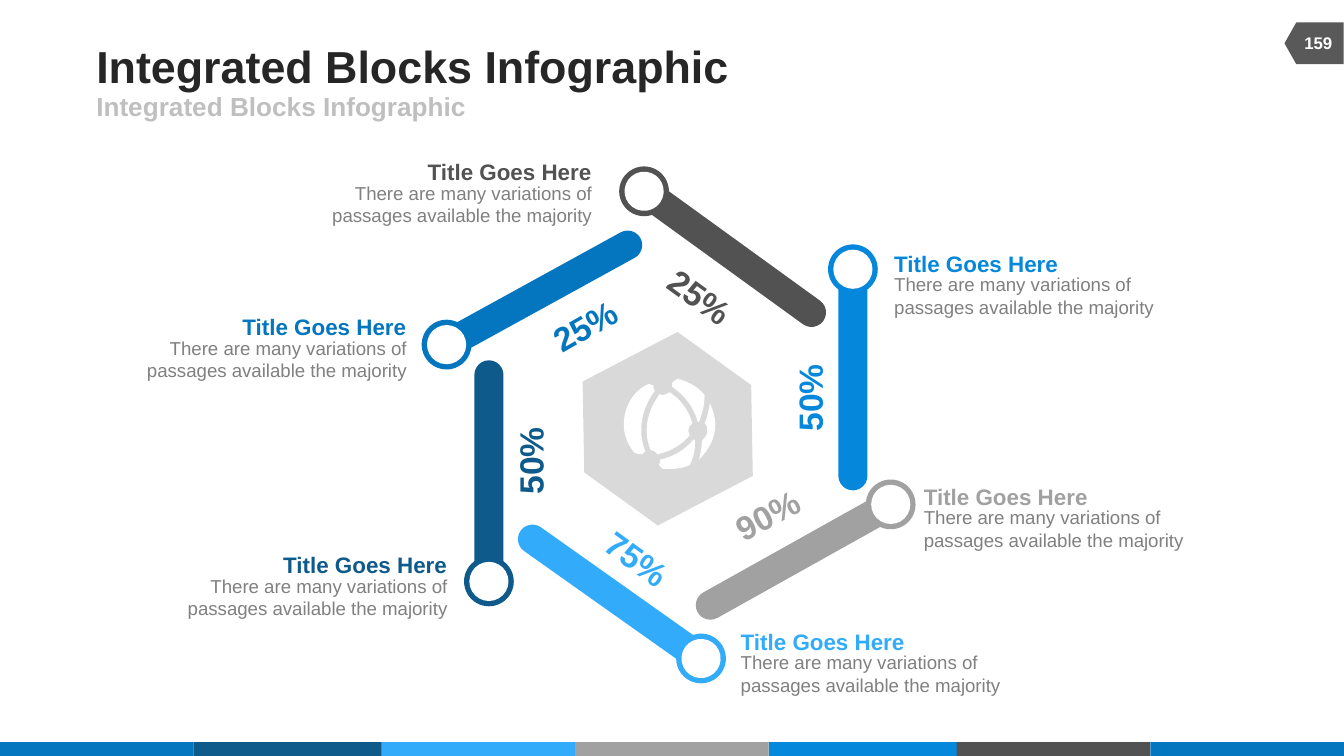
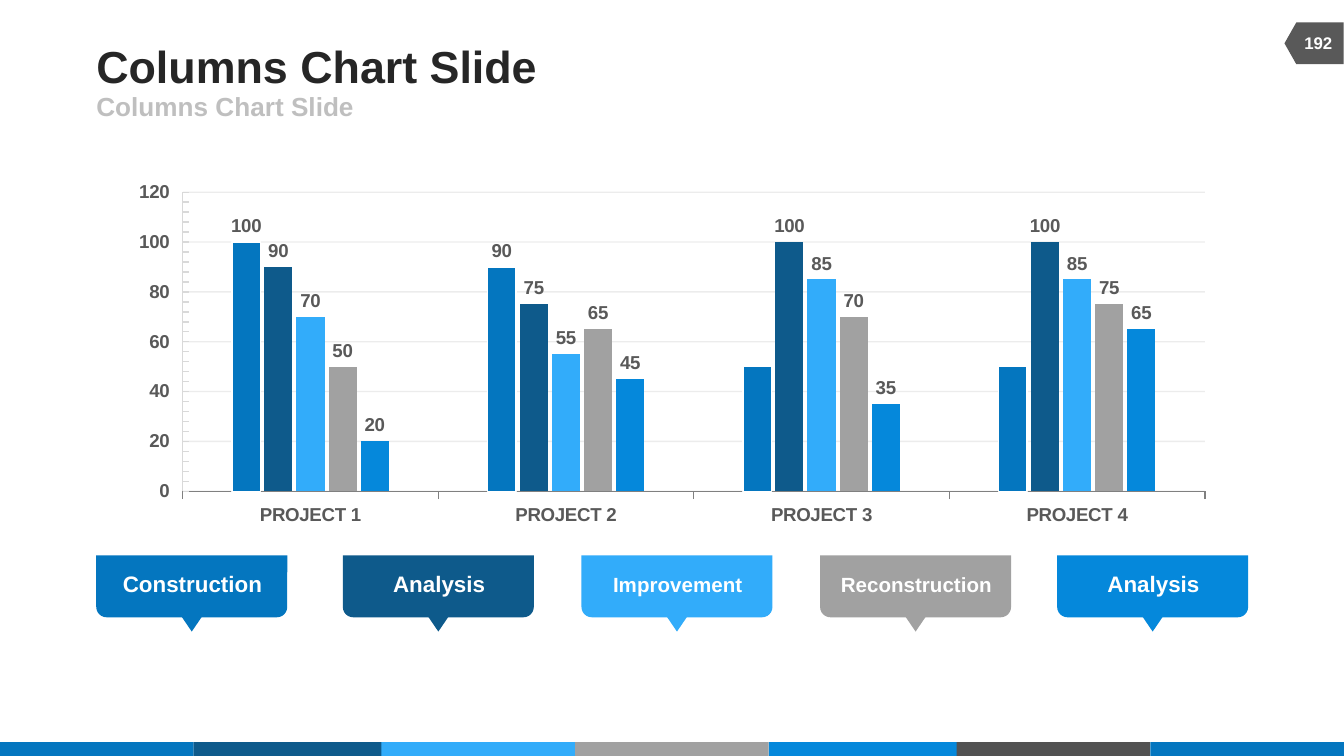
import math
from dataclasses import dataclass

import lxml.etree
import pptx
import pptx.chart.data
import pptx.dml.color
import pptx.enum.chart
import pptx.enum.shapes
import pptx.enum.text
import pptx.oxml.ns
import pptx.shapes.autoshape
import pptx.shapes.shapetree
import pptx.slide
import pptx.text.text
import pptx.util

Cm = pptx.util.Cm
Pt = pptx.util.Pt
qn = pptx.oxml.ns.qn
SHAPE = pptx.enum.shapes.MSO_SHAPE
ALIGN = pptx.enum.text.PP_ALIGN
ANCHOR = pptx.enum.text.MSO_ANCHOR
FIT = pptx.enum.text.MSO_AUTO_SIZE
Shapes = pptx.shapes.shapetree.SlideShapes | pptx.shapes.shapetree.GroupShapes

FONT = "Arial"
COLORS = {
    "blue": "0476BF",
    "navy": "0E5A8B",
    "sky": "32ACFA",
    "grey": "A1A1A1",
    "azure": "0588DB",
    "dark": "525252",
    "badge": "595959",
    "title": "262626",
    "subtitle": "BFBFBF",
    "body": "808080",
    "light": "D9D9D9",
    "white": "FFFFFF",
}


@dataclass(frozen=True)
class Box:
    """Left, top, width and height in centimetres."""
    left: float
    top: float
    width: float
    height: float

    @classmethod
    def centred(cls, x: float, y: float, width: float, height: float) -> "Box":
        return cls(x - width / 2, y - height / 2, width, height)

    def lengths(self) -> tuple:
        return Cm(self.left), Cm(self.top), Cm(self.width), Cm(self.height)


@dataclass(frozen=True)
class TextStyle:
    size: float
    color: str
    bold: bool = True
    align: int = ALIGN.LEFT
    anchor: int = ANCHOR.TOP
    wrap: bool = False
    fit: int = FIT.SHAPE_TO_FIT_TEXT


@dataclass(frozen=True)
class Spoke:
    """A bar with a ring at its end, a percentage and a caption."""
    color: str
    x: float
    y: float
    angle: float
    percent: str
    percent_x: float
    percent_y: float
    percent_angle: float
    caption_edge: float
    caption_top: float
    caption_align: int


@dataclass(frozen=True)
class Tag:
    color: str
    left: float
    label: str
    label_width: float
    size: float


# Shared parts
BAND_WIDTH = 3.66
BANDS = (("blue", 0), ("navy", 3.66), ("sky", 7.21), ("grey", 10.87),
         ("azure", 14.53), ("dark", 18.08), ("blue", 21.74))
TITLE_BOX = Box(1.82, 0.74, 15.67, 0.99)
SUBTITLE_BOX = Box(1.82, 1.73, 11.43, 0.56)
TITLE_STYLE = TextStyle(24, "title", anchor=ANCHOR.MIDDLE, fit=FIT.NONE)
SUBTITLE_STYLE = TextStyle(14, "subtitle", anchor=ANCHOR.MIDDLE, fit=FIT.NONE)
NUMBER_STYLE = TextStyle(9, "white", align=ALIGN.CENTER, anchor=ANCHOR.MIDDLE,
                         wrap=True, fit=FIT.NONE)

# Hexagon of spokes
CAPTION_TITLE = "Title Goes Here"
CAPTION_TEXT = "There are many variations of passages available the majority"
RING_DISTANCE = 2.02
SPOKES = (
    Spoke("blue", 10.21, 5.54, 241.2, "25%", 11.05, 6.15, 330.1, 7.68, 5.92, ALIGN.RIGHT),
    Spoke("navy", 9.24, 8.97, 180, "50%", 10.02, 8.71, 270, 8.45, 10.42, ALIGN.RIGHT),
    Spoke("sky", 11.6, 11.28, 125.3, "75%", 12.04, 10.55, 36, 14, 11.87, ALIGN.LEFT),
    Spoke("grey", 15.07, 10.52, 60.8, "90%", 14.5, 9.73, 332.6, 17.46, 9.13, ALIGN.LEFT),
    Spoke("azure", 16.12, 7.11, 0, "50%", 15.3, 7.52, 270, 16.9, 4.72, ALIGN.LEFT),
    Spoke("dark", 13.81, 4.8, 305.9, "25%", 13.23, 5.61, 36, 11.18, 2.99, ALIGN.RIGHT),
)

# Globe pieces on a grid 68 units wide: a start, then two controls and an end per curve
GLOBE_BOX = Box(11.79, 7.16, 1.73, 1.7)
GLOBE_UNITS = 68
GLOBE_PIECES = (
    ((51, 33), (49, 34), (48, 36), (48, 39), (48, 40), (48, 41), (49, 42),
     (43, 49), (35, 54), (25, 56), (24, 54), (22, 53), (20, 53),
     (18, 48), (17, 44), (17, 38), (17, 28), (21, 19), (27, 11),
     (27, 12), (28, 12), (29, 12), (31, 12), (32, 11), (34, 10),
     (42, 15), (48, 23), (51, 33)),
    ((36, 5), (36, 5), (36, 6), (36, 6), (45, 12), (52, 21), (55, 32),
     (56, 32), (56, 32), (56, 32), (58, 26), (60, 20), (60, 13),
     (60, 13), (60, 12), (60, 12), (55, 6), (48, 2), (40, 0),
     (38, 1), (37, 2), (36, 3), (36, 4), (36, 4), (36, 5)),
    ((16, 54), (14, 49), (13, 44), (13, 38), (13, 27), (17, 17), (23, 9),
     (22, 8), (22, 6), (22, 5), (20, 4), (19, 4), (18, 4),
     (7, 9), (0, 21), (0, 34), (0, 42), (3, 49), (8, 55),
     (10, 56), (12, 56), (14, 56), (14, 55), (15, 55), (16, 54)),
    ((64, 18), (63, 24), (62, 29), (60, 33), (62, 35), (62, 36), (62, 39),
     (62, 42), (60, 44), (58, 46), (58, 51), (57, 55), (56, 60),
     (63, 53), (68, 44), (68, 34), (68, 28), (66, 23), (64, 18)),
    ((52, 45), (45, 53), (37, 58), (27, 60), (27, 62), (27, 63), (26, 64),
     (27, 65), (28, 66), (29, 67), (31, 67), (32, 67), (34, 67),
     (40, 67), (45, 66), (49, 64), (52, 58), (53, 53), (53, 46),
     (53, 46), (53, 46), (52, 45)),
)

# Column chart and its tags
CHART_BOX = Box(2.21, 3.3, 20.98, 6.77)
PROJECTS = [f"PROJECT {number}" for number in range(1, 5)]
SERIES = (("blue", (100, 90, 50, 50)), ("navy", (90, 75, 100, 100)),
          ("sky", (70, 55, 85, 85)), ("grey", (50, 65, 70, 75)),
          ("azure", (20, 45, 35, 65)))
TAGS = (
    Tag("blue", 1.82, "Construction", 2.67, 12),
    Tag("navy", 6.48, "Analysis", 1.75, 12),
    Tag("sky", 10.99, "Improvement", 2.46, 11),
    Tag("grey", 15.5, "Reconstruction", 2.87, 11),
    Tag("azure", 19.98, "Analysis", 1.75, 12),
)


def rgb(name: str) -> pptx.dml.color.RGBColor:
    return pptx.dml.color.RGBColor.from_string(COLORS[name])


def paint(shape: pptx.shapes.autoshape.Shape, color: str) -> None:
    shape.shadow.inherit = False
    shape.fill.solid()
    shape.fill.fore_color.rgb = rgb(color)
    shape.line.fill.background()


def add_block(shapes: Shapes, kind: int, box: Box, color: str,
              rotation: float = 0) -> pptx.shapes.autoshape.Shape:
    shape = shapes.add_shape(kind, *box.lengths())
    paint(shape, color)
    shape.rotation = rotation
    return shape


def style_font(font: pptx.text.text.Font, size: float, color: str, bold: bool = True) -> None:
    font.name, font.size, font.bold = FONT, Pt(size), bold
    font.color.rgb = rgb(color)


def write(shape: pptx.shapes.autoshape.Shape, text: str, style: TextStyle) -> None:
    frame = shape.text_frame
    frame.text = text
    frame.auto_size = style.fit
    frame.word_wrap = style.wrap
    frame.vertical_anchor = style.anchor
    frame.margin_left = frame.margin_top = frame.margin_right = frame.margin_bottom = 0
    paragraph = frame.paragraphs[0]
    paragraph.alignment = style.align
    style_font(paragraph.runs[0].font, style.size, style.color, style.bold)


def add_text(shapes: Shapes, box: Box, text: str, style: TextStyle, rotation: float = 0) -> None:
    shape = shapes.add_textbox(*box.lengths())
    shape.rotation = rotation
    write(shape, text, style)


def decorate_layout(slide: pptx.slide.Slide) -> None:
    """Draw the band and the badge, then hand them to the layout all slides use."""
    band = slide.shapes.add_group_shape()
    for color, left in BANDS:
        add_block(band.shapes, SHAPE.RECTANGLE, Box(left, 14.03, BAND_WIDTH, 0.26), color)
    badge = add_block(slide.shapes, SHAPE.FLOWCHART_OFFPAGE_CONNECTOR,
                      Box(24.44, 0.26, 0.79, 1.12), "badge", 90)
    tree = slide.slide_layout.shapes._spTree
    for part in (band, badge):
        tree.append(part._element)
    for number, properties in enumerate(tree.iter(qn("p:cNvPr")), 1):
        properties.set("id", str(number))


def start_slide(presentation, title: str, number: str) -> pptx.slide.Slide:
    slide = presentation.slides.add_slide(presentation.slide_layouts[1])
    headings = ((slide.shapes.title, TITLE_BOX, TITLE_STYLE),
                (slide.placeholders[1], SUBTITLE_BOX, SUBTITLE_STYLE))
    for placeholder, box, style in headings:
        placeholder.left, placeholder.top, placeholder.width, placeholder.height = box.lengths()
        write(placeholder, title, style)
        properties = placeholder.text_frame.paragraphs[0]._p.get_or_add_pPr()
        properties.set("marL", "0")
        properties.set("indent", "0")
        lxml.etree.SubElement(properties, qn("a:buNone"))
    add_text(slide.shapes, Box(24.38, 0.43, 1.07, 0.76), number, NUMBER_STYLE)
    return slide


def add_spoke(slide: pptx.slide.Slide, spoke: Spoke) -> None:
    shapes = slide.shapes.add_group_shape().shapes
    bar = add_block(shapes, SHAPE.ROUNDED_RECTANGLE,
                    Box.centred(spoke.x, spoke.y, 0.55, 4.32), spoke.color, spoke.angle)
    bar.adjustments[0] = 0.5
    angle = math.radians(spoke.angle)
    ring_x = spoke.x + RING_DISTANCE * math.sin(angle)
    ring_y = spoke.y - RING_DISTANCE * math.cos(angle)
    for diameter, color in ((0.94, spoke.color), (0.74, "white")):
        add_block(shapes, SHAPE.OVAL, Box.centred(ring_x, ring_y, diameter, diameter),
                  color, spoke.angle)


def add_caption(slide: pptx.slide.Slide, spoke: Spoke) -> None:
    shapes = slide.shapes.add_group_shape().shapes
    align = spoke.caption_align
    for text, offset, width, height, style in (
        (CAPTION_TEXT, 0.44, 5.16, 0.86, TextStyle(10, "body", False, align, wrap=True)),
        (CAPTION_TITLE, 0, 3.99, 0.51, TextStyle(12, spoke.color, align=align, wrap=True)),
    ):
        left = spoke.caption_edge - (width if align == ALIGN.RIGHT else 0)
        add_text(shapes, Box(left, spoke.caption_top + offset, width, height), text, style)


def add_percent(slide: pptx.slide.Slide, spoke: Spoke) -> None:
    add_text(slide.shapes, Box.centred(spoke.percent_x, spoke.percent_y, 1.27, 0.76),
             spoke.percent, TextStyle(18, spoke.color, align=ALIGN.CENTER, anchor=ANCHOR.MIDDLE),
             spoke.percent_angle)


def add_globe(slide: pptx.slide.Slide) -> None:
    unit = GLOBE_BOX.width / GLOBE_UNITS
    outlines = [[(Cm(GLOBE_BOX.left + x * unit), Cm(GLOBE_BOX.top + y * unit)) for x, y in piece]
                for piece in GLOBE_PIECES]
    builder = slide.shapes.build_freeform(*outlines[0][0])
    for index, outline in enumerate(outlines):
        if index:
            builder.move_to(*outline[0])
        builder.add_line_segments(outline[1:], close=True)
    globe = builder.convert_to_shape()
    paint(globe, "white")
    # Every three segments become one cubic curve
    segments = list(globe._element.iter(qn("a:lnTo")))
    for first, second, third in zip(segments[::3], segments[1::3], segments[2::3]):
        curve = lxml.etree.Element(qn("a:cubicBezTo"))
        first.addprevious(curve)
        for segment in (first, second, third):
            curve.append(segment[0])
            segment.getparent().remove(segment)


def add_columns(slide: pptx.slide.Slide) -> None:
    data = pptx.chart.data.CategoryChartData()
    data.categories = PROJECTS
    for number, (_, values) in enumerate(SERIES, 1):
        data.add_series(f"Series {number}", values)
    chart = slide.shapes.add_chart(pptx.enum.chart.XL_CHART_TYPE.COLUMN_CLUSTERED,
                                   *CHART_BOX.lengths(), data).chart
    chart.has_legend = chart.has_title = False
    style_font(chart.font, 10, "badge")
    plot = chart.plots[0]
    plot.gap_width, plot.overlap, plot.vary_by_categories = 351, -14, False
    # The first series labels only two of its columns
    for index, (series, (color, _)) in enumerate(zip(plot.series, SERIES)):
        series.format.fill.solid()
        series.format.fill.fore_color.rgb = rgb(color)
        series.data_labels.show_value = index > 0
        labels = [series.data_labels]
        if index == 0:
            series.format.line.color.rgb = rgb("white")
            series.format.line.width = Pt(0.75)
            labels = [series.points[point].data_label for point in (0, 1)]
        for label in labels:
            label.position = pptx.enum.chart.XL_LABEL_POSITION.OUTSIDE_END
            style_font(label.font, 10, "badge")
    # Axes
    tick = pptx.enum.chart.XL_TICK_MARK
    chart.category_axis.major_tick_mark = tick.OUTSIDE
    chart.category_axis.format.line.color.rgb = rgb("body")
    axis = chart.value_axis
    axis.minimum_scale, axis.maximum_scale = 0, 120
    axis.major_unit, axis.minor_unit = 20, 4
    axis.major_tick_mark, axis.minor_tick_mark = tick.NONE, tick.INSIDE
    axis.tick_label_position = pptx.enum.chart.XL_TICK_LABEL_POSITION.LOW
    for line in (axis.format.line, axis.major_gridlines.format.line):
        line.color.rgb = rgb("light")
        line.width = Pt(0.75)
    for color in axis._element.find(qn("c:majorGridlines")).iter(qn("a:srgbClr")):
        lxml.etree.SubElement(color, qn("a:alpha")).set("val", "48000")


def add_tag(slide: pptx.slide.Slide, tag: Tag) -> None:
    shapes = slide.shapes.add_group_shape().shapes
    for kind, box in ((SHAPE.ISOSCELES_TRIANGLE, Box(tag.left + 1.41, 11.36, 0.79, 0.58)),
                      (SHAPE.ROUND_2_SAME_RECTANGLE, Box(tag.left, 10.5, 3.61, 1.17))):
        block = add_block(shapes, kind, box, tag.color)
        block._element.spPr.xfrm.set("flipV", "1")
    add_text(shapes, Box.centred(tag.left + 1.82, 11.04, tag.label_width, tag.size * 0.04 + 0.03),
             tag.label, TextStyle(tag.size, "white", align=ALIGN.CENTER))


def main() -> None:
    presentation = pptx.Presentation()
    presentation.slide_width, presentation.slide_height = Cm(25.4), Cm(14.29)
    # Integrated blocks
    slide = start_slide(presentation, "Integrated Blocks Infographic", "159")
    decorate_layout(slide)
    add_block(slide.shapes, SHAPE.HEXAGON, Box(10.84, 6.57, 3.56, 3.07), "light", 332.4)
    for add_part in (add_spoke, add_caption, add_percent):
        for spoke in SPOKES:
            add_part(slide, spoke)
    add_globe(slide)
    # Columns chart
    slide = start_slide(presentation, "Columns Chart Slide", "192")
    add_columns(slide)
    for tag in TAGS:
        add_tag(slide, tag)
    presentation.save("out.pptx")


if __name__ == "__main__":
    main()
